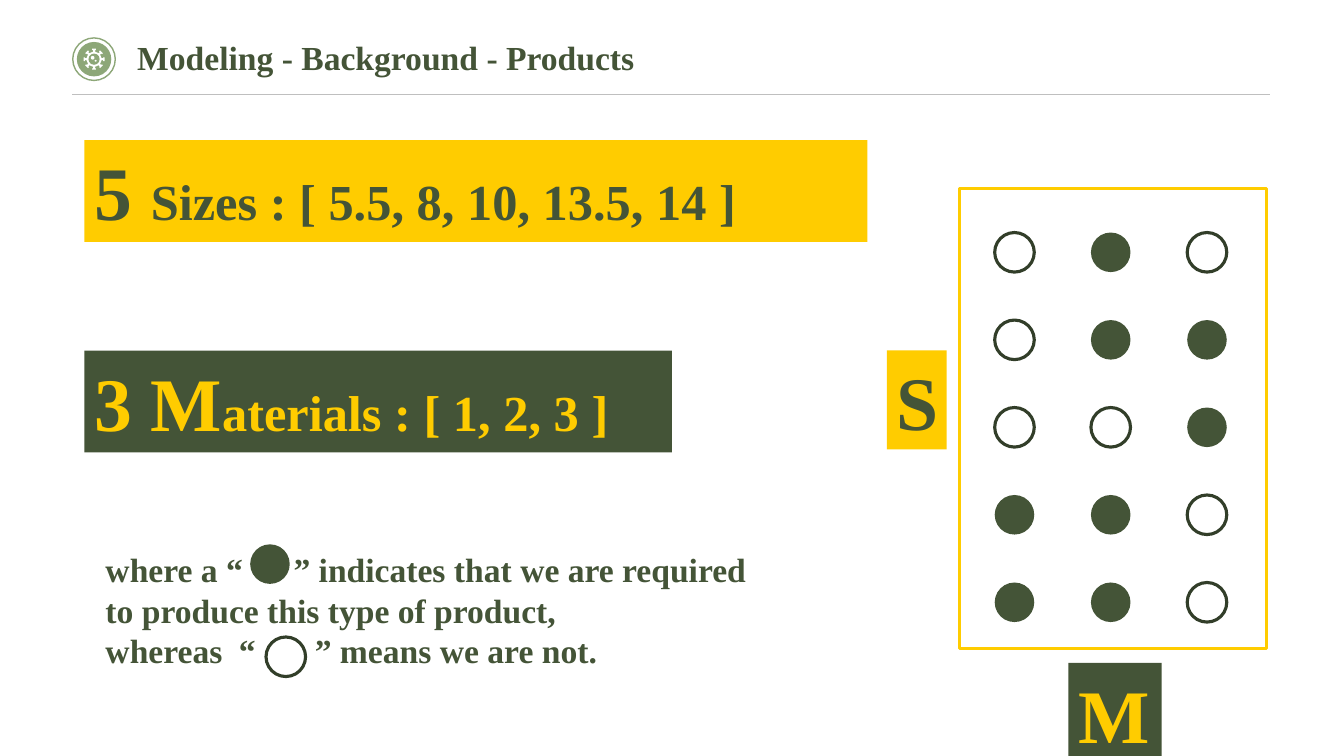
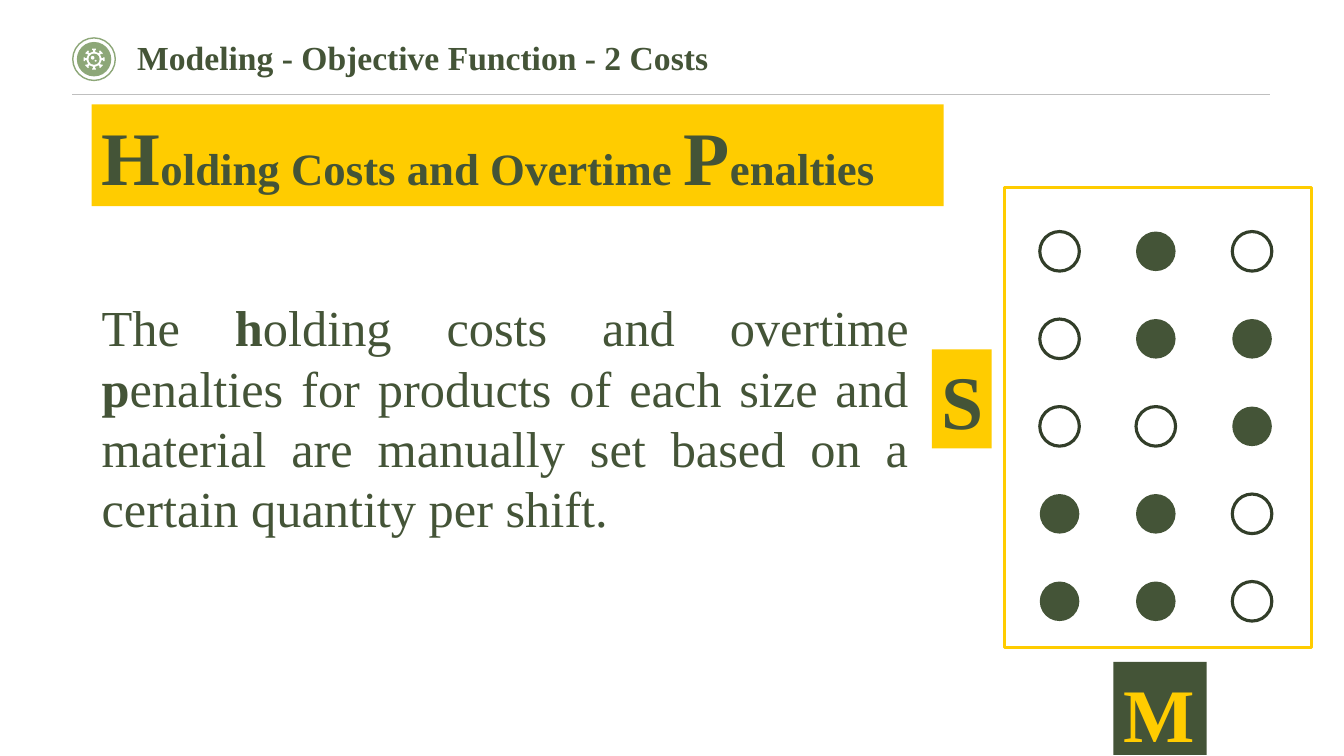
import dataclasses
import math

import pptx
import pptx.dml.color
import pptx.enum.shapes
import pptx.enum.text
import pptx.oxml.ns
import pptx.util
import lxml.etree

Pt = pptx.util.Pt
Kind = pptx.enum.shapes.MSO_SHAPE
Align = pptx.enum.text.PP_ALIGN
Anchor = pptx.enum.text.MSO_ANCHOR


@dataclasses.dataclass(frozen=True)
class Theme:
    font: str = "Times New Roman"
    green: str = "445437"
    dark: str = "323E29"
    sage: str = "8DA778"
    gold: str = "FFCC00"
    gray: str = "BFBFBF"
    white: str = "FFFFFF"
    huge: int = 54
    large: int = 36
    mid: int = 32
    small: int = 24
    stroke: float = 2.25
    dot: float = 28.25


THEME = Theme()
GRID = ("010", "011", "001", "110", "110")


def paint(color):
    return pptx.dml.color.RGBColor.from_string(color)


def write(para, text, size=THEME.small, color=THEME.green, bold=True):
    run = para.add_run()
    run.text = text
    run.font.name = THEME.font
    run.font.size = Pt(size)
    run.font.bold = bold
    run.font.color.rgb = paint(color)


def style(shape, fill=None, line=None, width=THEME.stroke):
    shape.shadow.inherit = False
    if fill:
        shape.fill.solid()
        shape.fill.fore_color.rgb = paint(fill)
    else:
        shape.fill.background()
    if line:
        shape.line.color.rgb = paint(line)
        shape.line.width = Pt(width)
    else:
        shape.line.fill.background()
    return shape


def draw(slide, kind, left, top, wide, high, **look):
    shape = slide.shapes.add_shape(kind, Pt(left), Pt(top), Pt(wide), Pt(high))
    return style(shape, **look)


def disc(slide, x, y, radius, **look):
    return draw(slide, Kind.OVAL, x - radius, y - radius, 2 * radius, 2 * radius, **look)


def dot(slide, left, top, full):
    look = {"fill": THEME.green} if full else {"line": THEME.dark}
    draw(slide, Kind.OVAL, left, top, THEME.dot, THEME.dot, **look)


def block(slide, left, top, wide, high, runs, fill, color):
    shape = draw(slide, Kind.RECTANGLE, left, top, wide, high, fill=fill)
    shape.text_frame.vertical_anchor = Anchor.TOP
    para = shape.text_frame.paragraphs[0]
    para.alignment = Align.LEFT
    for text, size in runs:
        write(para, text, size, color)


def note(slide, left, top, wide, high):
    frame = slide.shapes.add_textbox(Pt(left), Pt(top), Pt(wide), Pt(high)).text_frame
    frame.word_wrap = True
    return frame


def set_tabs(para, *stops):
    tabs = lxml.etree.SubElement(
        para._p.get_or_add_pPr(), pptx.oxml.ns.qn("a:tabLst"))
    for stop in stops:
        lxml.etree.SubElement(
            tabs, pptx.oxml.ns.qn("a:tab"), pos=str(Pt(stop)), algn="l")


def gear(slide, x, y):
    tooth = ((5.4, -0.7), (6.5, -0.7), (6.5, -1.4), (7.5, -1.4),
             (7.5, 1.4), (6.5, 1.4), (6.5, 0.7), (5.4, 0.7))
    spots = []
    for step in range(8):
        turn = step * math.pi / 4
        cos, sin = math.cos(turn), math.sin(turn)
        spots += [(Pt(x + out * cos - side * sin), Pt(y + out * sin + side * cos))
                  for out, side in tooth]
    path = slide.shapes.build_freeform(*spots[0])
    path.add_line_segments(spots[1:], close=True)
    parts = [style(path.convert_to_shape(), fill=THEME.white)]
    parts.append(disc(slide, x, y, 4, fill=THEME.sage))
    parts.append(disc(slide, x - 1, y - 1, 1.3, fill=THEME.white))
    parts.append(disc(slide, x + 1.1, y + 1.1, 0.7, fill=THEME.white))
    return parts


def rule(slide, left, right, y):
    line = slide.shapes.add_connector(
        pptx.enum.shapes.MSO_CONNECTOR.STRAIGHT, Pt(left), Pt(y), Pt(right), Pt(y))
    line.line.color.rgb = paint(THEME.gray)
    line.line.width = Pt(0.5)
    lxml.etree.SubElement(line.element.spPr, pptx.oxml.ns.qn("a:effectLst"))
    return line


def set_base(layout, slide):
    x, y = 67.2, 42.3
    parts = [disc(slide, x, y, 15.2, line=THEME.sage, width=1),
             disc(slide, x, y, 12.3, fill=THEME.sage)]
    parts += gear(slide, x, y)
    parts.append(rule(slide, 51.5, 907, 67.3))
    for part in parts:
        layout.shapes.element.append(part.element)
    title = layout.placeholders[0]
    title.left, title.top, title.width, title.height = Pt(98), Pt(23), Pt(703), Pt(36)


def head(slide, text):
    frame = slide.shapes.title.text_frame
    frame.auto_size = pptx.enum.text.MSO_AUTO_SIZE.NONE
    frame.vertical_anchor = Anchor.TOP
    frame.margin_left = 0
    para = frame.paragraphs[0]
    para.alignment = Align.LEFT
    write(para, text)


def chart(slide, left, top):
    draw(slide, Kind.RECTANGLE, left, top, 219.5, 329, line=THEME.gold)
    for row, marks in enumerate(GRID):
        for col, mark in enumerate(marks):
            dot(slide, left + 25.2 + col * 68.75, top + 31.6 + row * 62.5, mark == "1")
    block(slide, left + 77.8, top + 339, 66.7, 66.5, [("M", THEME.huge)],
          THEME.green, THEME.gold)
    block(slide, left - 51.8, top + 115.8, 42.7, 70.8, [("S", THEME.huge)],
          THEME.gold, THEME.green)


def goods(slide):
    head(slide, "Modeling - Background - Products")
    block(slide, 60.2, 100, 559.3, 72.7,
          [("5 ", THEME.huge), ("Sizes : [ 5.5, 8, 10, 13.5, 14 ]", THEME.large)],
          THEME.gold, THEME.green)
    block(slide, 60.2, 250.4, 419.8, 72.7,
          [("3 M", THEME.huge), ("aterials : [ 1, 2, 3 ]", THEME.large)],
          THEME.green, THEME.gold)
    chart(slide, 685.3, 134.5)
    frame = note(slide, 68.3, 388.8, 479, 94.5)
    para = frame.paragraphs[0]
    set_tabs(para, 134.3)
    write(para, "where a “\t” indicates that we are required to produce "
                "this type of product,")
    para = frame.add_paragraph()
    set_tabs(para, 95.3, 149.5)
    write(para, "whereas\t“\t” means we are not.")
    dot(slide, 178.7, 388.8, True)
    dot(slide, 190, 455, False)


def costs(slide):
    head(slide, "Modeling - Objective Function - 2 Costs")
    block(slide, 65.5, 74.6, 608.5, 72.7,
          [("H", THEME.huge), ("olding Costs and Overtime ", THEME.mid),
           ("P", THEME.huge), ("enalties", THEME.mid)],
          THEME.gold, THEME.green)
    chart(slide, 717.5, 133.8)
    para = note(slide, 65.5, 208, 591, 191.5).paragraphs[0]
    para.alignment = Align.JUSTIFY
    for text, bold in (
            ("The ", False), ("h", True), ("olding costs and overtime ", False),
            ("p", True),
            ("enalties for products of each size and material are manually set "
             "based on a certain quantity per shift.", False)):
        write(para, text, THEME.large, bold=bold)


def main():
    deck = pptx.Presentation()
    deck.slide_width, deck.slide_height = Pt(960), Pt(540)
    layout = deck.slide_layouts[5]
    first = deck.slides.add_slide(layout)
    set_base(layout, first)
    goods(first)
    costs(deck.slides.add_slide(layout))
    deck.save("out.pptx")


if __name__ == "__main__":
    main()
